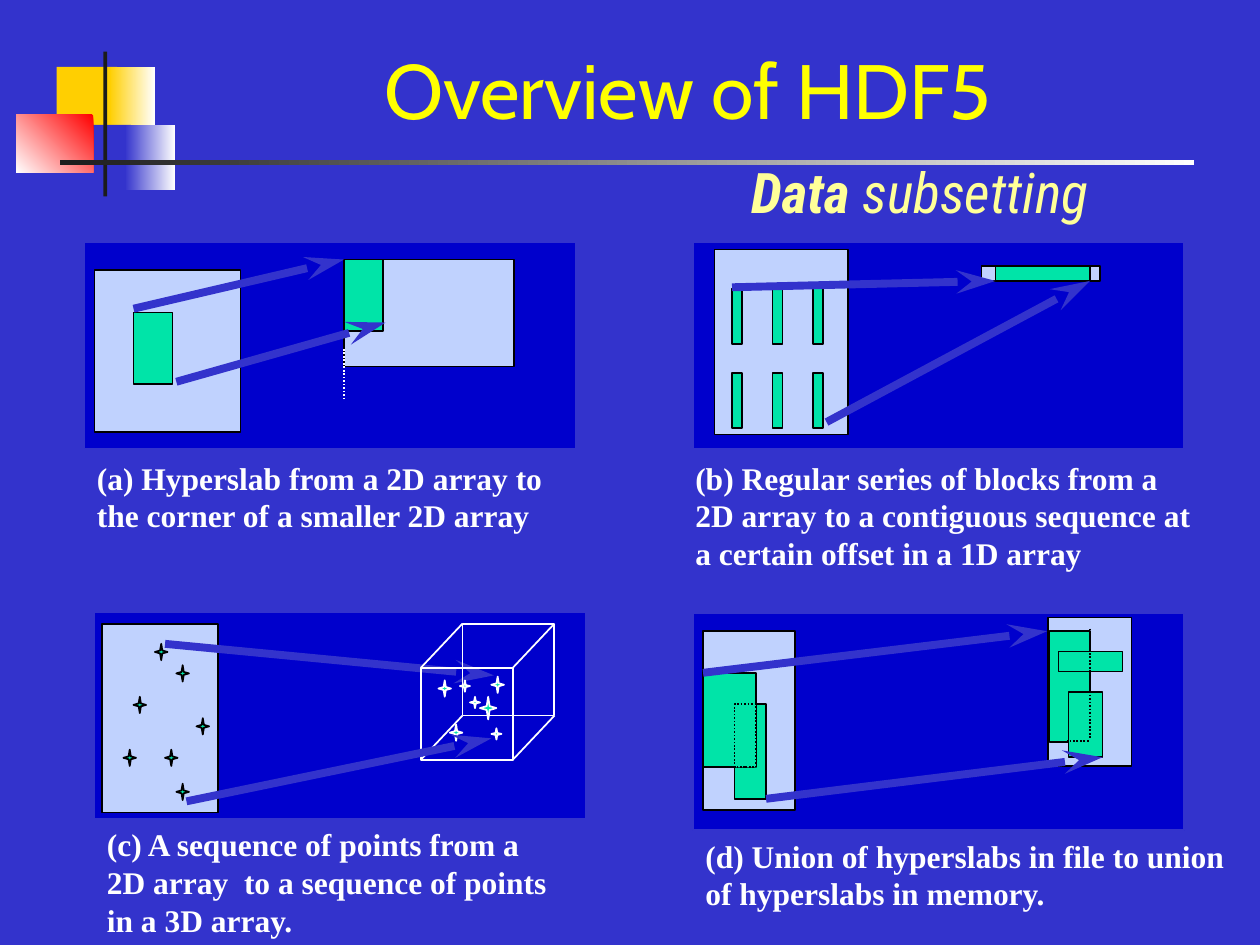
import itertools

import lxml.etree
import pptx
import pptx.dml.color
import pptx.enum.dml
import pptx.enum.shapes
import pptx.enum.text
import pptx.oxml.ns
import pptx.util

SHAPES = pptx.enum.shapes.MSO_SHAPE
COLORS = {
    "background": "3333CC", "panel": "0000CC", "array": "C0D2FE",
    "selection": "00E4A8", "black": "000000", "white": "FFFFFF",
    "gold": "FFCF01", "red": "FF0000", "bar": "1C1C1C",
    "title": "FFFF00", "subtitle": "FFFF99",
}
FORMATS = {
    "title": {"name": "Cabin", "size": pptx.util.Pt(44)},
    "strong": {"name": "Roboto Condensed", "size": pptx.util.Pt(32), "italic": True, "bold": True},
    "subtitle": {"name": "Roboto Condensed", "size": pptx.util.Pt(32), "italic": True, "bold": False},
    "caption": {"name": "Times New Roman", "size": pptx.util.Pt(18), "bold": True},
}


def length(inches):
    return pptx.util.Cm(inches * 2.54)


def color(name):
    return pptx.dml.color.RGBColor.from_string(COLORS[name])


def add_block(shapes, place, fill=None, line="black", kind=SHAPES.RECTANGLE, dotted=False):
    """Add a flat shape; a fill of None leaves it open, a line of None bare."""
    block = shapes.add_shape(kind, *map(length, place))
    block.shadow.inherit = False
    if fill:
        block.fill.solid()
        block.fill.fore_color.rgb = color(fill)
    else:
        block.fill.background()
    if line:
        style_line(block.line, line, 1, dotted)
    else:
        block.line.fill.background()
    return block


def add_gradient(shapes, place, first, last, angle=180):
    block = add_block(shapes, place, line=None)
    block.fill.gradient()
    block.fill.gradient_angle = angle
    for stop, name in zip(block.fill.gradient_stops, (first, last)):
        stop.color.rgb = color(name)


def style_line(line, name, width, dotted=False):
    line.color.rgb = color(name)
    line.width = pptx.util.Pt(width)
    if dotted:
        line.dash_style = pptx.enum.dml.MSO_LINE.ROUND_DOT


def add_line(shapes, start, end, name="white", width=1, dotted=False):
    line = shapes.add_connector(
        pptx.enum.shapes.MSO_CONNECTOR.STRAIGHT, *map(length, start + end))
    style_line(line.line, name, width, dotted)
    lxml.etree.SubElement(line._element.spPr, pptx.oxml.ns.qn("a:effectLst"))
    return line


def add_arrow(shapes, start, end):
    arrow = add_line(shapes, start, end, "background", 4.5)
    lxml.etree.SubElement(arrow.line._get_or_add_ln(), pptx.oxml.ns.qn("a:tailEnd"),
                          type="stealth", w="med", len="lg")


def add_stars(shapes, places, line, width=0.1, height=0.13):
    for left, top in places:
        star = add_block(shapes, (left, top, width, height), "selection", line,
                         SHAPES.STAR_4_POINT)
        star.adjustments[0] = 0.125


def add_box(shapes, place):
    box = shapes.add_textbox(*map(length, place))
    box.text_frame.word_wrap = True
    return box.text_frame


def add_span(para, text, style, name):
    span = para.add_run()
    span.text = text
    for attribute, value in FORMATS[style].items():
        setattr(span.font, attribute, value)
    span.font.color.rgb = color(name)


def add_panel(page, place, caption, caption_place):
    """Start a grouped panel with its backdrop and caption."""
    shapes = page.shapes.add_group_shape().shapes
    add_block(shapes, place, "panel", "background")
    frame = add_box(shapes, caption_place)
    add_span(frame.paragraphs[0], caption, "caption", "white")
    return shapes


def add_decoration(shapes):
    add_block(shapes, (0.45, 0.53, 0.48, 0.52), "gold", None)
    add_gradient(shapes, (0.87, 0.53, 0.36, 0.52), "white", "gold")
    add_block(shapes, (0.58, 0.99, 0.46, 0.52), "background", None)
    add_gradient(shapes, (0.99, 0.99, 0.4, 0.52), "white", "background")
    add_gradient(shapes, (0.13, 0.91, 0.61, 0.46), "red", "white", 225)
    add_block(shapes, (0.82, 0.41, 0.03, 1.15), "bar", None)
    add_gradient(shapes, (0.48, 1.27, 9, 0.04), "white", "bar")


def add_title(shapes):
    frame = add_box(shapes, (1.17, 0.75, 8.58, 1.08))
    frame.vertical_anchor = pptx.enum.text.MSO_ANCHOR.BOTTOM
    add_span(frame.paragraphs[0], "Overview of HDF5", "title", "title")
    para = frame.add_paragraph()
    para.line_spacing = pptx.util.Pt(51)
    para._p.get_or_add_pPr().set("marL", str(length(3.68)))
    add_span(para, "Data ", "strong", "subtitle")
    add_span(para, "subsetting", "subtitle", "subtitle")
    for para in frame.paragraphs:
        para.alignment = pptx.enum.text.PP_ALIGN.CENTER


def add_hyperslab(page):
    shapes = add_panel(page, (0.67, 1.92, 3.9, 1.64),
                       "(a) Hyperslab from a 2D array to the corner of a smaller 2D array",
                       (0.67, 3.59, 3.92, 0.7))
    for place in ((0.75, 2.14, 1.16, 1.29), (2.73, 2.06, 1.35, 0.85)):
        add_block(shapes, place, "array")
    for left, top in ((1.06, 2.48), (2.73, 2.06)):
        add_block(shapes, (left, top, 0.31, 0.57), "selection")
    add_arrow(shapes, (1.06, 2.45), (2.73, 2.06))
    add_arrow(shapes, (1.4, 3.03), (3.06, 2.56))
    add_line(shapes, (2.73, 2.77), (2.73, 3.17), dotted=True)


def add_series(page):
    shapes = add_panel(page, (5.5, 1.92, 3.9, 1.64),
                       "(b) Regular series of blocks from a  2D array to a contiguous "
                       "sequence at a certain offset in a 1D array",
                       (5.42, 3.59, 4.17, 1))
    for place in ((5.67, 1.98, 1.06, 1.47), (7.79, 2.11, 0.94, 0.12)):
        add_block(shapes, place, "array")
    for left, top in itertools.product((5.81, 6.13, 6.45), (2.29, 2.96)):
        add_block(shapes, (left, top, 0.08, 0.44), "selection")
    add_block(shapes, (7.9, 2.11, 0.75, 0.12), "selection")
    add_arrow(shapes, (5.81, 2.28), (7.9, 2.23))
    add_arrow(shapes, (6.56, 3.35), (8.65, 2.23))


def add_points(page):
    shapes = add_panel(page, (0.75, 4.86, 3.9, 1.64),
                       "(c) A sequence of points from a 2D array  to a sequence of "
                       "points in a 3D array.",
                       (0.75, 6.5, 3.83, 1))
    add_block(shapes, (0.81, 4.95, 0.92, 1.5), "array")
    add_arrow(shapes, (1.31, 5.11), (3.92, 5.36))
    add_stars(shapes, ((1.06, 5.53), (1.4, 5.28), (1.23, 5.11), (0.98, 5.95),
                       (1.56, 5.7), (1.31, 5.95), (1.4, 6.22)), "black")
    # Cube: front and back faces joined corner to corner
    side, front, back = 0.73, (3.34, 5.3), (3.67, 4.95)
    for corner in (front, back):
        add_block(shapes, corner + (side, side), line="white")
    for across, down in itertools.product((0, side), repeat=2):
        add_line(shapes, (front[0] + across, front[1] + down),
                 (back[0] + across, back[1] + down))
    add_stars(shapes, ((3.9, 5.37), (3.48, 5.4), (3.57, 5.75)), "white")
    add_stars(shapes, ((3.9, 5.78), (3.65, 5.4), (3.73, 5.53)), "white", 0.08, 0.09)
    add_stars(shapes, ((3.81, 5.53),), "white", 0.13, 0.18)
    add_arrow(shapes, (1.48, 6.36), (3.9, 5.86))


def add_union(page):
    shapes = add_panel(page, (5.5, 4.87, 3.9, 1.72),
                       "(d) Union of hyperslabs in file to union of hyperslabs in memory.",
                       (5.5, 6.59, 4.5, 0.7))
    for place in ((5.58, 5.01, 0.73, 1.42), (8.32, 4.9, 0.66, 1.18)):
        add_block(shapes, place, "array")
    for place in ((5.83, 5.59, 0.25, 0.75), (8.33, 5.01, 0.32, 0.88), (5.58, 5.34, 0.42, 0.75)):
        add_block(shapes, place, "selection")
    add_block(shapes, (5.83, 5.59, 0.17, 0.5), "selection", dotted=True)
    for place in ((8.4, 5.17, 0.51, 0.16), (8.48, 5.49, 0.27, 0.52)):
        add_block(shapes, place, "selection")
    add_line(shapes, (8.65, 4.99), (8.65, 5.87), "black", dotted=True)
    add_line(shapes, (8.64, 5.88), (8.47, 5.88), "black", dotted=True)
    add_arrow(shapes, (6.08, 6.34), (8.75, 6.01))
    add_arrow(shapes, (5.58, 5.34), (8.31, 5.01))


def main():
    deck = pptx.Presentation()
    deck.slide_width, deck.slide_height = length(10), length(7.5)
    page = deck.slides.add_slide(deck.slide_layouts[6])
    page.background.fill.solid()
    page.background.fill.fore_color.rgb = color("background")
    add_decoration(page.shapes)
    add_title(page.shapes)
    for add_example in (add_hyperslab, add_series, add_points, add_union):
        add_example(page)
    deck.save("out.pptx")


if __name__ == "__main__":
    main()
